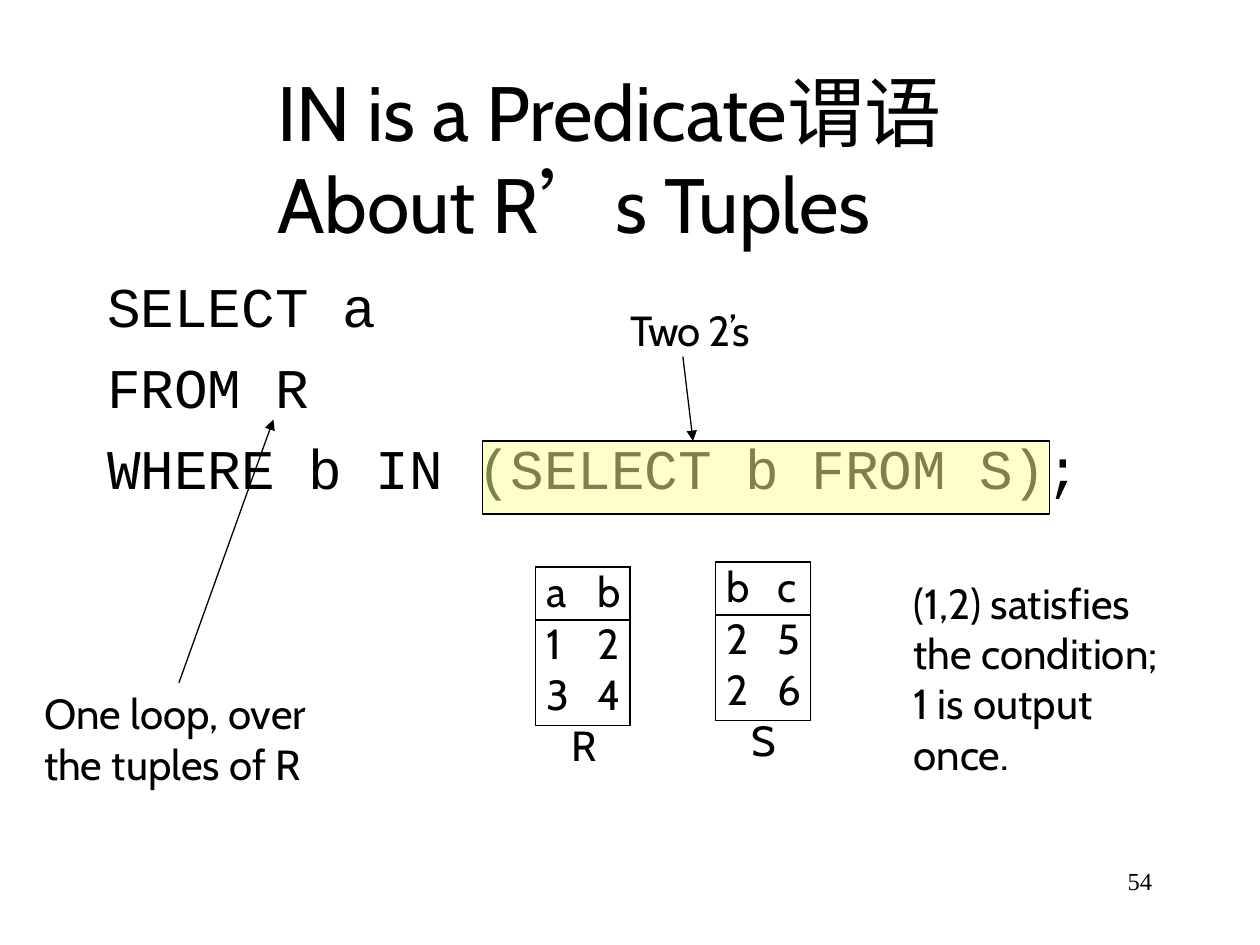
from lxml.etree import SubElement
from pptx import Presentation
from pptx.dml.color import RGBColor
from pptx.enum.shapes import MSO_CONNECTOR as Connector, MSO_SHAPE as Shape
from pptx.enum.text import MSO_ANCHOR as Anchor, PP_ALIGN as Align
from pptx.oxml import parse_xml
from pptx.oxml.ns import nsdecls, qn
from pptx.util import Inches, Pt

BLACK = RGBColor(0x00, 0x00, 0x00)
YELLOW = RGBColor(0xFF, 0xFF, 0x99)
BODY, CODE, NUMBER = "Cabin", "Courier New", "Times New Roman"
SLIDE_WIDTH, SLIDE_HEIGHT = Inches(10), Inches(7.5)
COLUMNS, ROWS = 100, 75
TABLE_COLUMNS = (4, 3.5)
TABLE_ROWS = (4.1, 4.05, 4.45)
HEADER_RULE = 4.2
LINE_WIDTH = Pt(0.75)


def across(columns):
    return round(SLIDE_WIDTH * columns / COLUMNS)


def down(rows):
    return round(SLIDE_HEIGHT * rows / ROWS)


def place(left, top, width, height):
    return across(left), down(top), across(width), down(height)


def style_frame(frame, size, font, align=Align.LEFT, spacing=None, tracking=0):
    for para in frame.paragraphs:
        para.alignment = align
        para.line_spacing = spacing
        for span in para.runs:
            span.font.size = Pt(size)
            span.font.name = font
            span.font.bold = False
            span.font.color.rgb = BLACK
            if tracking:
                span.font._element.set("spc", str(round(tracking * 100)))


def add_text(page, text, area, size=24, font=BODY, **style):
    frame = page.shapes.add_textbox(*place(*area)).text_frame
    frame.margin_left = frame.margin_right = 0
    frame.margin_top = frame.margin_bottom = 0
    frame.word_wrap = True
    frame.text = text
    style_frame(frame, size, font, **style)


def add_line(page, start, end):
    line = page.shapes.add_connector(
        Connector.STRAIGHT, across(start[0]), down(start[1]), across(end[0]), down(end[1])
    )
    line.line.color.rgb = BLACK
    line.line.width = LINE_WIDTH
    SubElement(line._element.spPr, qn("a:effectLst"))
    return line


def add_arrow(page, start, end):
    arrow = add_line(page, start, end)
    SubElement(arrow.line._get_or_add_ln(), qn("a:tailEnd"), type="triangle")


def add_highlight(page, area):
    box = page.shapes.add_shape(Shape.RECTANGLE, *place(*area))
    box.shadow.inherit = False
    box.fill.solid()
    box.fill.fore_color.rgb = YELLOW
    color = box.fill._xPr.find(qn("a:solidFill"))[0]
    SubElement(color, qn("a:alpha"), val="50000")
    box.line.color.rgb = BLACK
    box.line.width = Pt(1)


def set_borders(cell, visible):
    properties = cell._tc.get_or_add_tcPr()
    for index, side in enumerate(("lnL", "lnR", "lnT", "lnB")):
        paint = f'<a:solidFill><a:srgbClr val="{BLACK}"/></a:solidFill>'
        if side not in visible:
            paint = "<a:noFill/>"
        line = f'<a:{side} {nsdecls("a")} w="{LINE_WIDTH}">{paint}</a:{side}>'
        properties.insert(index, parse_xml(line))


def add_relation(page, name, left, top, rows):
    width, height = sum(TABLE_COLUMNS), sum(TABLE_ROWS)
    area = place(left, top, width, height)
    table = page.shapes.add_table(len(rows), len(TABLE_COLUMNS), *area).table
    table.first_row = table.horz_banding = False
    for column, size in zip(table.columns, TABLE_COLUMNS):
        column.width = across(size)
    for row, size in zip(table.rows, TABLE_ROWS):
        row.height = down(size)
    for i, values in enumerate(rows):
        for j, value in enumerate(values):
            cell = table.cell(i, j)
            cell.margin_left = across(0.9)
            cell.margin_right = cell.margin_top = cell.margin_bottom = 0
            cell.vertical_anchor = Anchor.TOP
            cell.text = value
            style_frame(cell.text_frame, 24, BODY)
            cell.fill.background()
            visible = {"lnL" if j == 0 else "lnR"}
            if i == 0:
                visible.add("lnT")
            if i == len(rows) - 1:
                visible.add("lnB")
            set_borders(cell, visible)
    rule = top + HEADER_RULE
    add_line(page, (left, rule), (left + width, rule))
    add_text(page, name, (left + 0.1, top + height - 0.5, width, 4.1), align=Align.CENTER)


def main():
    deck = Presentation()
    deck.slide_width, deck.slide_height = SLIDE_WIDTH, SLIDE_HEIGHT
    page = deck.slides.add_slide(deck.slide_layouts[6])

    add_text(page, "IN is a Predicate谓语\vAbout R’s Tuples", (22, 5.1, 64.5, 15),
             size=44, tracking=-0.1)
    add_text(page, "SELECT a\vFROM R\vWHERE b IN", (8.5, 20.5, 27.5, 19.5),
             size=32, font=CODE, spacing=1.2)
    add_text(page, "(SELECT b FROM S)", (37.9, 34.4, 46, 5), size=32, font=CODE, tracking=-0.1)
    add_text(page, ";", (83.1, 34.4, 3, 5), size=32, font=CODE)

    add_text(page, "One loop, over\vthe tuples of R", (3.5, 54.6, 22, 8.3))
    add_arrow(page, (14.2, 54.2), (21.7, 33.3))

    add_relation(page, "R", 42.5, 45, [("a", "b"), ("1", "2"), ("3", "4")])
    add_relation(page, "S", 56.8, 44.6, [("b", "c"), ("2", "5"), ("2", "6")])
    add_text(page, "(1,2) satisfies\vthe condition;\n1 is output\vonce.", (72.5, 45.8, 25.1, 16.4))

    add_text(page, "Two 2’s", (50, 24.2, 11.1, 4.2), tracking=-0.5)
    add_highlight(page, (38.3, 35, 45, 5.8))
    add_arrow(page, (54.2, 28.3), (55, 35))
    add_text(page, "54", (89.5, 68.7, 3, 2.4), size=14, font=NUMBER)

    deck.save("out.pptx")


if __name__ == "__main__":
    main()
